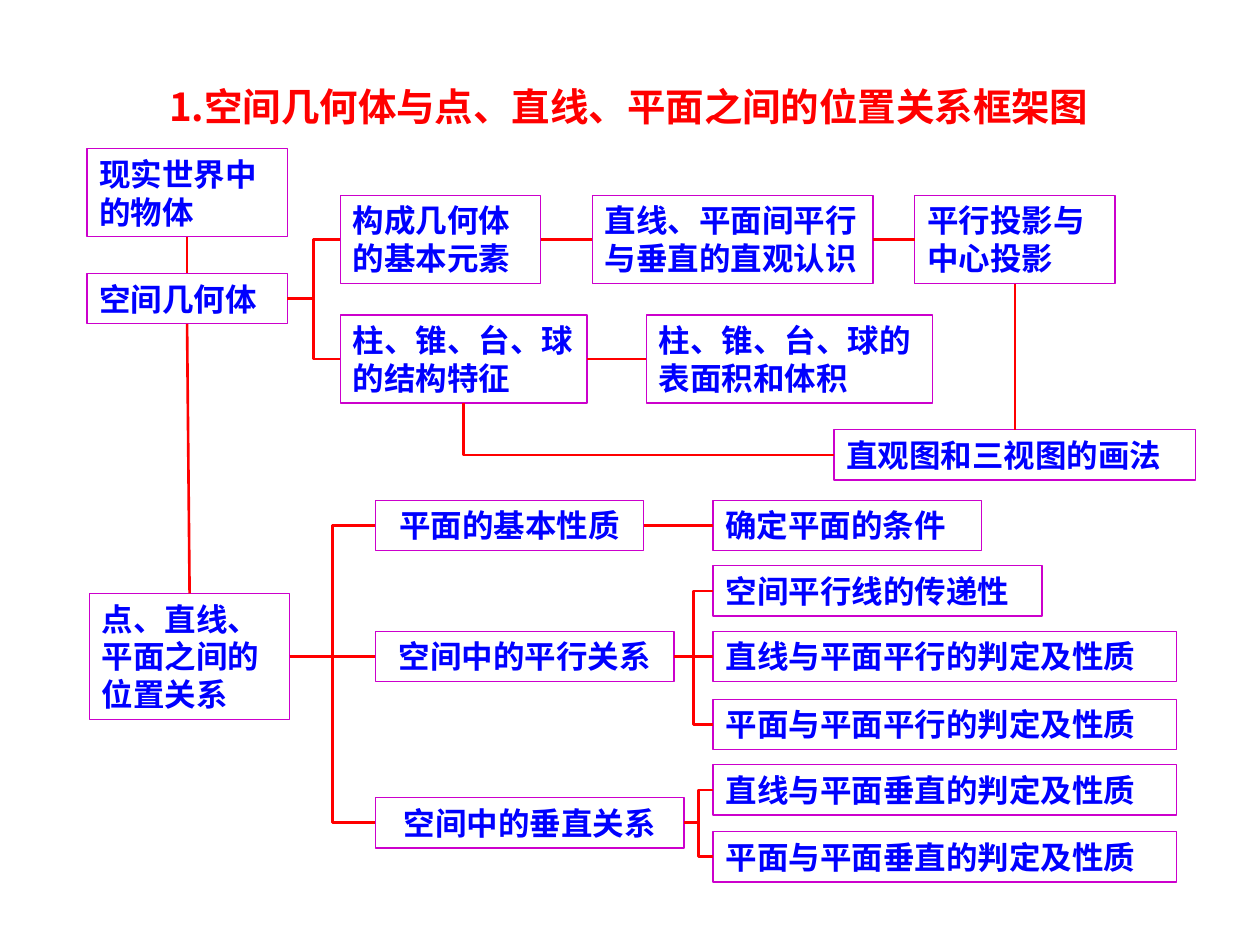
from lxml import etree
from pptx import Presentation
from pptx import util as u
from pptx.dml.color import RGBColor
from pptx.enum import shapes, text
from pptx.oxml.ns import qn

RED = RGBColor(0xFF, 0x00, 0x00)
BLUE = RGBColor(0x00, 0x00, 0xFF)
PURPLE = RGBColor(0xCC, 0x00, 0xCC)
FONT = "Noto Sans CJK SC"
TOP, LEFT, BOTTOM, RIGHT = range(4)
STRAIGHT = shapes.MSO_CONNECTOR.STRAIGHT
ELBOW = shapes.MSO_CONNECTOR.ELBOW

presentation = Presentation()
presentation.slide_width = u.Inches(10)
presentation.slide_height = u.Inches(7.5)
slide = presentation.slides.add_slide(presentation.slide_layouts[6])


def write(shape, content, size=18, color=BLUE, align=text.PP_ALIGN.LEFT, spacing=None):
    frame = shape.text_frame
    frame.word_wrap = True
    frame.auto_size = text.MSO_AUTO_SIZE.SHAPE_TO_FIT_TEXT
    frame.vertical_anchor = text.MSO_ANCHOR.TOP
    paragraph = frame.paragraphs[0]
    paragraph.alignment = align
    paragraph.line_spacing = spacing
    run = paragraph.add_run()
    run.text = content
    run.font.size = u.Pt(size)
    run.font.bold = True
    run.font.color.rgb = color
    run.font.name = FONT
    east_asian = etree.SubElement(run.font._element, qn("a:ea"))
    east_asian.set("typeface", FONT)


def connect(start, start_side, end, end_side, kind):
    connector = slide.shapes.add_connector(kind, 0, 0, 0, 0)
    connector.begin_connect(start, start_side)
    connector.end_connect(end, end_side)
    connector.line.color.rgb = RED
    connector.line.width = u.Pt(1.5)
    etree.SubElement(connector._element.spPr, qn("a:effectLst"))
    return connector


# Title
title = slide.shapes.add_textbox(u.Inches(0.79), u.Inches(0.46), u.Inches(8.4), u.Inches(0.62))
write(title, "1.空间几何体与点、直线、平面之间的位置关系框架图", size=22, color=RED,
      align=text.PP_ALIGN.CENTER, spacing=1.4)

# Boxes: key, left, top, width, number of lines, wording
box_rows = [
    ("objects", 0.69, 1.18, 1.59, 2, "现实世界中的物体"),
    ("solids", 0.69, 2.17, 1.59, 1, "空间几何体"),
    ("elements", 2.7, 1.55, 1.59, 2, "构成几何体的基本元素"),
    ("intuition", 4.7, 1.55, 2.23, 2, "直线、平面间平行与垂直的直观认识"),
    ("projection", 7.26, 1.55, 1.59, 2, "平行投影与中心投影"),
    ("structure", 2.7, 2.5, 1.96, 2, "柱、锥、台、球的结构特征"),
    ("measure", 5.13, 2.5, 2.27, 2, "柱、锥、台、球的表面积和体积"),
    ("views", 6.62, 3.41, 2.87, 1, "直观图和三视图的画法"),
    ("positions", 0.71, 4.71, 1.59, 3, "点、直线、平面之间的位置关系"),
    ("plane", 2.98, 3.97, 2.13, 1, "平面的基本性质"),
    ("conditions", 5.66, 3.97, 2.13, 1, "确定平面的条件"),
    ("parallel", 2.98, 5.01, 2.37, 1, "空间中的平行关系"),
    ("transitivity", 5.66, 4.49, 2.61, 1, "空间平行线的传递性"),
    ("line_parallel", 5.66, 5.01, 3.68, 1, "直线与平面平行的判定及性质"),
    ("plane_parallel", 5.66, 5.55, 3.68, 1, "平面与平面平行的判定及性质"),
    ("perpendicular", 2.98, 6.33, 2.45, 1, "空间中的垂直关系"),
    ("line_perpendicular", 5.66, 6.07, 3.68, 1, "直线与平面垂直的判定及性质"),
    ("plane_perpendicular", 5.66, 6.6, 3.68, 1, "平面与平面垂直的判定及性质"),
]
centred = {"plane", "parallel", "perpendicular"}
boxes = {}
for key, left, top, width, lines, wording in box_rows:
    box = slide.shapes.add_shape(
        shapes.MSO_SHAPE.RECTANGLE,
        u.Inches(left), u.Inches(top), u.Inches(width), u.Inches(0.1 + 0.3 * lines))
    box.shadow.inherit = False
    box.fill.background()
    box.line.color.rgb = PURPLE
    box.line.width = u.Pt(0.75)
    align = text.PP_ALIGN.CENTER if key in centred else text.PP_ALIGN.LEFT
    write(box, wording, align=align)
    boxes[key] = box

# Downward links
for start, end in [("objects", "solids"), ("solids", "positions"), ("projection", "views")]:
    connect(boxes[start], BOTTOM, boxes[end], TOP, STRAIGHT)

# Links to the right
for start, end, kind in [
    ("solids", "elements", ELBOW),
    ("solids", "structure", ELBOW),
    ("elements", "intuition", STRAIGHT),
    ("intuition", "projection", STRAIGHT),
    ("structure", "measure", STRAIGHT),
    ("positions", "plane", ELBOW),
    ("positions", "parallel", STRAIGHT),
    ("positions", "perpendicular", ELBOW),
    ("plane", "conditions", STRAIGHT),
    ("parallel", "transitivity", ELBOW),
    ("parallel", "line_parallel", STRAIGHT),
    ("parallel", "plane_parallel", ELBOW),
    ("perpendicular", "line_perpendicular", ELBOW),
    ("perpendicular", "plane_perpendicular", ELBOW),
]:
    connect(boxes[start], RIGHT, boxes[end], LEFT, kind)

# Single-corner link, down and then right: a turned and flipped two-part connector
corner = connect(boxes["structure"], BOTTOM, boxes["views"], LEFT, ELBOW)
across, down = corner.width, corner.height
corner.left += (across - down) // 2
corner.top += (down - across) // 2
corner.width, corner.height = down, across
properties = corner._element.spPr
properties.find(qn("a:prstGeom")).set("prst", "bentConnector2")
transform = properties.find(qn("a:xfrm"))
transform.set("rot", str(270 * 60000))
transform.set("flipH", "1")

presentation.save("out.pptx")
